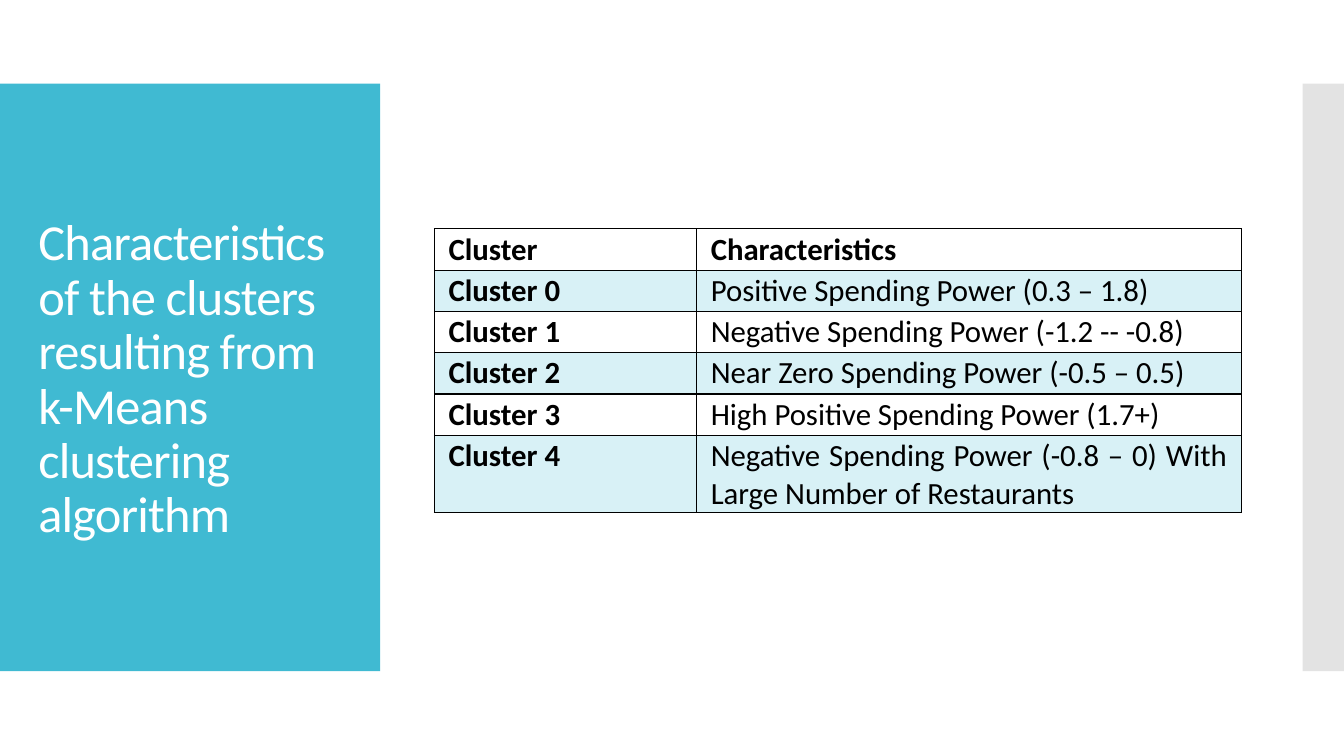
from dataclasses import dataclass

from lxml.etree import SubElement
from pptx import Presentation
from pptx.dml.color import RGBColor
from pptx.enum.shapes import MSO_SHAPE
from pptx.enum.text import MSO_ANCHOR, MSO_AUTO_SIZE, PP_ALIGN
from pptx.oxml import parse_xml
from pptx.oxml.ns import nsdecls, qn
from pptx.util import Inches, Pt


@dataclass(frozen=True)
class Theme:
    font: str = "Calibri"
    accent: RGBColor = RGBColor(0x40, 0xBA, 0xD2)
    side: RGBColor = RGBColor(0xC8, 0xC8, 0xC8)
    title_text: RGBColor = RGBColor(0xFF, 0xFF, 0xFF)
    ink: RGBColor = RGBColor(0, 0, 0)
    title_size: Pt = Pt(36)
    table_size: Pt = Pt(22)


THEME = Theme()


def fill_solid(fill, color, opacity=100):
    fill.solid()
    fill.fore_color.rgb = color
    if opacity < 100:
        color_element = fill._xPr.find(qn("a:solidFill"))[0]
        SubElement(color_element, qn("a:alpha")).set("val", str(opacity * 1000))


def format_run(run, size, color, bold=False):
    run.font.name = THEME.font
    run.font.size = size
    run.font.color.rgb = color
    run.font.bold = bold


deck = Presentation()
deck.slide_width, deck.slide_height = Inches(13.33), Inches(7.5)
slide = deck.slides.add_slide(deck.slide_layouts[5])

# Side panels
for left, width, color, opacity in [
    (0, 3.77, THEME.accent, 100),
    (12.92, 0.41, THEME.side, 50),
]:
    panel = slide.shapes.add_shape(
        MSO_SHAPE.RECTANGLE, Inches(left), Inches(0.83), Inches(width), Inches(5.83))
    panel.shadow.inherit = False
    panel.line.fill.background()
    fill_solid(panel.fill, color, opacity)

# Title, brought in front of the panels
title = slide.shapes.title
slide.shapes._spTree.append(title._element)
title.left, title.top = Inches(0.28), Inches(0.79)
title.width, title.height = Inches(3.22), Inches(5.97)
title.text_frame.text = (
    "Characteristics of the clusters resulting from k-Means clustering algorithm")
title.text_frame.word_wrap = True
title.text_frame.auto_size = MSO_AUTO_SIZE.NONE
title.text_frame.vertical_anchor = MSO_ANCHOR.MIDDLE
heading = title.text_frame.paragraphs[0]
heading.alignment = PP_ALIGN.LEFT
heading.line_spacing = 0.9
format_run(heading.runs[0], THEME.title_size, THEME.title_text)
heading.runs[0].font._element.set("spc", "-60")

# Cluster table
clusters = [
    ("Cluster", "Characteristics"),
    ("Cluster 0", "Positive Spending Power (0.3 – 1.8)"),
    ("Cluster 1", "Negative Spending Power (-1.2 -- -0.8)"),
    ("Cluster 2", "Near Zero Spending Power (-0.5 – 0.5)"),
    ("Cluster 3", "High Positive Spending Power (1.7+)"),
    ("Cluster 4", "Negative Spending Power (-0.8 – 0) With Large Number of Restaurants"),
]
row_height = Inches(0.41)
table = slide.shapes.add_table(
    len(clusters), 2, Inches(4.31), Inches(2.27), Inches(8),
    row_height * len(clusters)).table
table.horz_banding = False
for column, width in zip(table.columns, (2.6, 5.4)):
    column.width = Inches(width)

for row_index, cluster in enumerate(clusters):
    table.rows[row_index].height = row_height
    for column_index, wording in enumerate(cluster):
        cell = table.cell(row_index, column_index)
        cell.margin_left = cell.margin_right = Inches(0.14)
        cell.margin_top, cell.margin_bottom = Inches(0.02), 0

        # Borders come before the fill in the cell properties
        for side in ("lnL", "lnR", "lnT", "lnB"):
            cell._tc.get_or_add_tcPr().append(parse_xml(
                f'<a:{side} {nsdecls("a")} w="{Pt(1)}"><a:solidFill>'
                f'<a:srgbClr val="{THEME.ink}"/></a:solidFill></a:{side}>'))
        if row_index % 2:
            fill_solid(cell.fill, THEME.accent, 20)
        else:
            cell.fill.background()

        paragraph = cell.text_frame.paragraphs[0]
        paragraph.text = wording
        paragraph.alignment = PP_ALIGN.JUSTIFY
        format_run(paragraph.runs[0], THEME.table_size, THEME.ink,
                   bold=row_index == 0 or column_index == 0)

deck.save("out.pptx")
